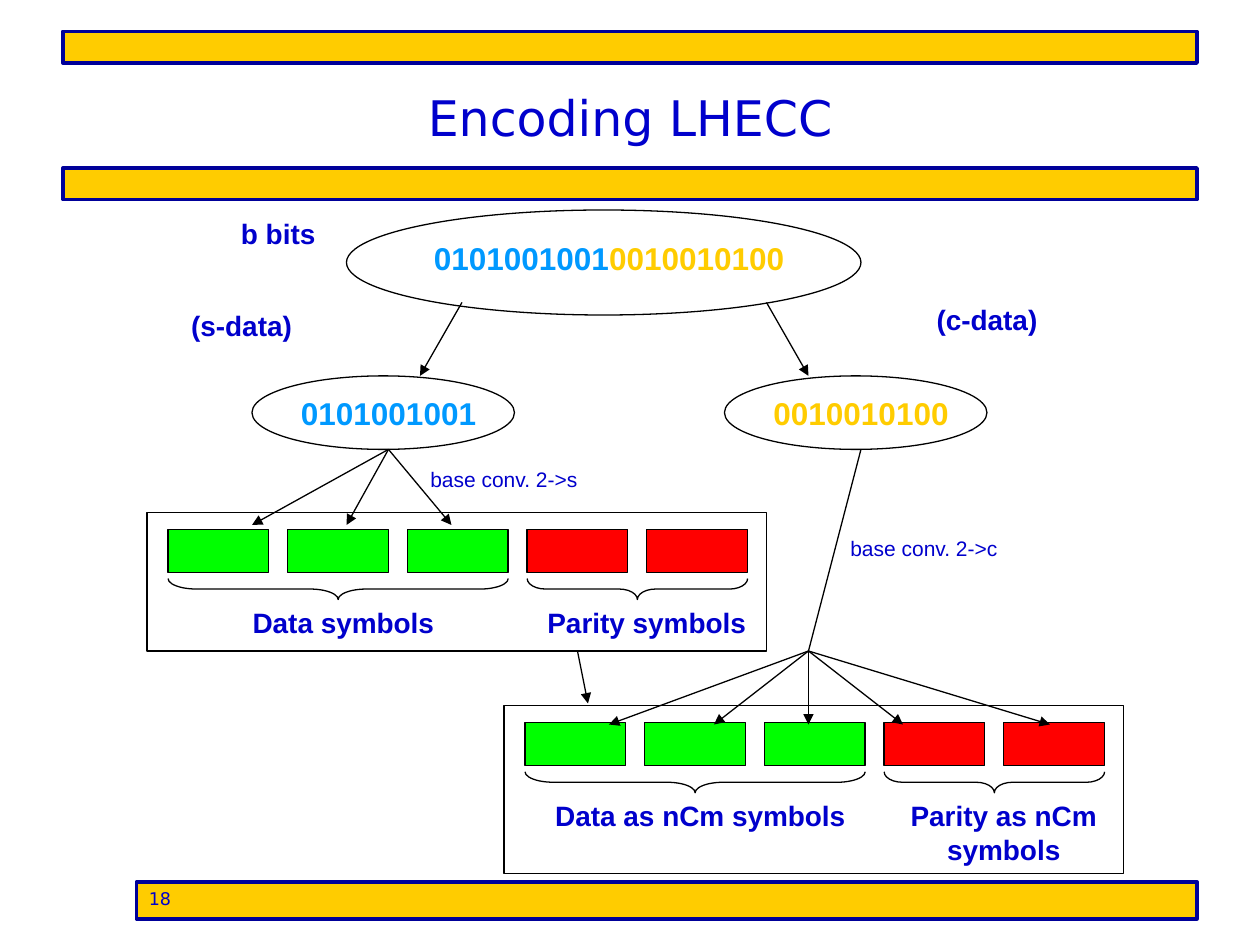
from lxml import etree
from pptx import Presentation
from pptx.dml.color import RGBColor
from pptx.enum.shapes import MSO_CONNECTOR, MSO_SHAPE
from pptx.enum.text import MSO_ANCHOR, PP_ALIGN
from pptx.oxml.ns import qn
from pptx.util import Pt

RECTANGLE, ELLIPSE = MSO_SHAPE.RECTANGLE, MSO_SHAPE.OVAL
BRACE, STRAIGHT = MSO_SHAPE.RIGHT_BRACE, MSO_CONNECTOR.STRAIGHT
LEFT, CENTER = PP_ALIGN.LEFT, PP_ALIGN.CENTER
TOP, MIDDLE = MSO_ANCHOR.TOP, MSO_ANCHOR.MIDDLE

WHITE = RGBColor(0xFF, 0xFF, 0xFF)
BLACK = RGBColor(0x00, 0x00, 0x00)
GOLD = RGBColor(0xFF, 0xCC, 0x00)
NAVY = RGBColor(0x00, 0x00, 0x99)
BLUE = RGBColor(0x00, 0x00, 0xCC)
SKY = RGBColor(0x00, 0x99, 0xFF)
GREEN = RGBColor(0x00, 0xFF, 0x00)
RED = RGBColor(0xFF, 0x00, 0x00)

EMU_PER_PX = 7620
BODY_FONT, TITLE_FONT = "Arial", "DejaVu Sans"
S_BITS, C_BITS = ("0101001001", SKY), ("0010010100", GOLD)


def px(*lengths):
    """Turn px lengths into EMU."""
    return [round(length * EMU_PER_PX) for length in lengths]


def add_runs(shape, runs, size, font=BODY_FONT, bold=False, align=CENTER, anchor=TOP):
    """Write coloured runs into the first paragraph of a shape."""
    frame = shape.text_frame
    frame.word_wrap = True
    frame.vertical_anchor = anchor
    paragraph = frame.paragraphs[0]
    paragraph.alignment = align
    paragraph.space_before = Pt(0)
    for text, color in runs:
        run = paragraph.add_run()
        run.text = text
        run.font.name = font
        run.font.size = Pt(size)
        run.font.bold = bold
        run.font.color.rgb = color


def add_label(slide, box, runs, size=16, bold=True):
    """Add a centred text box."""
    label = slide.shapes.add_textbox(*px(*box))
    add_runs(label, runs, size, bold=bold)
    return label


def add_figure(slide, kind, box, fill=None, line=BLACK, width=0.75):
    """Add an outlined preset shape, hollow unless a fill is given."""
    shape = slide.shapes.add_shape(kind, *px(*box))
    shape.shadow.inherit = False
    if fill is None:
        shape.fill.background()
    else:
        shape.fill.solid()
        shape.fill.fore_color.rgb = fill
    shape.line.color.rgb = line
    shape.line.width = Pt(width)
    return shape


def add_line(slide, start, end, arrow=True):
    """Add a thin black line, with an arrowhead at its end if wanted."""
    connector = slide.shapes.add_connector(STRAIGHT, *px(*start, *end))
    connector.line.color.rgb = BLACK
    connector.line.width = Pt(0.75)
    if arrow:
        outline = connector.line._get_or_add_ln()
        etree.SubElement(outline, qn("a:tailEnd"), type="triangle")
    etree.SubElement(connector._element.spPr, qn("a:effectLst"))


def add_brace(slide, left, top, length, depth=20):
    """Add a horizontal brace that points down."""
    box = (left + (length - depth) / 2, top + (depth - length) / 2, depth, length)
    brace = add_figure(slide, BRACE, box)
    brace.rotation = 90
    brace.adjustments[0] = length / 12 / depth


def add_frame(slide, title):
    """Place the gold bars, the title and the page number."""
    for box in ((60, 30, 1080, 30), (60, 160, 1080, 30)):
        add_figure(slide, RECTANGLE, box, GOLD, NAVY, 2.25)
    heading = slide.shapes.title
    heading.left, heading.top, heading.width, heading.height = px(60, 36, 1080, 150)
    add_runs(heading, [(title, BLUE)], 28, TITLE_FONT, anchor=MIDDLE)
    footer = add_figure(slide, RECTANGLE, (130, 840, 1010, 35), GOLD, NAVY, 2.25)
    add_runs(footer, [("18", BLUE)], 10, TITLE_FONT, align=LEFT)


def add_bits(slide, box, runs, text_left, text_top):
    """Place an ellipse that holds a bit string."""
    left, top, width, height = box
    add_figure(slide, ELLIPSE, box)
    add_label(slide, (left + text_left, top + text_top, 400, 48), runs, 18)


def add_split(slide, left, top):
    """Place the source bits and their split into s-data and c-data."""
    add_bits(slide, (left + 180, top, 490, 100), [S_BITS, C_BITS], 50, 22)
    add_bits(slide, (left + 90, top + 158, 250, 70), [S_BITS], -70, 11)
    add_bits(slide, (left + 540, top + 158, 250, 70), [C_BITS], -70, 11)
    name = add_label(slide, (left + 60, top, 110, 44), [("b bits", BLUE)])
    name.fill.solid()
    name.fill.fore_color.rgb = WHITE
    add_label(slide, (left, top + 88, 160, 44), [("(s-data)", BLUE)])
    add_label(slide, (left + 710, top + 82, 160, 44), [("(c-data)", BLUE)])
    for start, end in ((290, 250), (580, 620)):
        add_line(slide, (left + start, top + 88), (left + end, top + 158))


def add_symbols(slide, box, data_text, parity_text):
    """Place a box of three data and two parity symbols with braces."""
    left, top, width, height = box
    pitch, cell = 114, 96
    add_figure(slide, RECTANGLE, box)
    for index, color in enumerate([GREEN] * 3 + [RED] * 2):
        cell_box = (left + 20 + index * pitch, top + 16, cell, 41)
        add_figure(slide, RECTANGLE, cell_box, color)
    groups = ((0, 3, data_text, 29, 316), (3, 2, parity_text, 362, 228))
    for first, count, text, text_left, text_width in groups:
        length = (count - 1) * pitch + cell
        add_brace(slide, left + 20 + first * pitch, top + 63, length)
        text_box = (left + text_left, top + 83, text_width, 44)
        add_label(slide, text_box, [(text, BLUE)])


def add_fan(slide, start, ends, end_top, text, text_left, text_top):
    """Place arrows from one point to several, with a conversion note."""
    for end in ends:
        add_line(slide, start, (end, end_top))
    note_box = (text_left, text_top, 240, 36)
    add_label(slide, note_box, [(text, BLUE)], 12, False)


def main():
    """Build the slide and save it."""
    presentation = Presentation()
    presentation.slide_width, presentation.slide_height = px(1200, 900)
    slide = presentation.slides.add_slide(presentation.slide_layouts[5])
    add_frame(slide, "Encoding LHECC")
    add_split(slide, 150, 200)
    add_symbols(slide, (140, 488, 590, 132), "Data symbols", "Parity symbols")
    add_symbols(slide, (480, 672, 590, 160),
                "Data as nCm symbols", "Parity as nCm symbols")
    add_fan(slide, (370, 428), (240, 330, 430), 500, "base conv. 2->s", 360, 438)
    add_line(slide, (820, 428), (770, 620), arrow=False)
    add_fan(slide, (770, 620), (580, 680, 770, 860, 1000), 690,
            "base conv. 2->c", 760, 504)
    add_line(slide, (550, 620), (560, 670))
    presentation.save("out.pptx")


if __name__ == "__main__":
    main()
